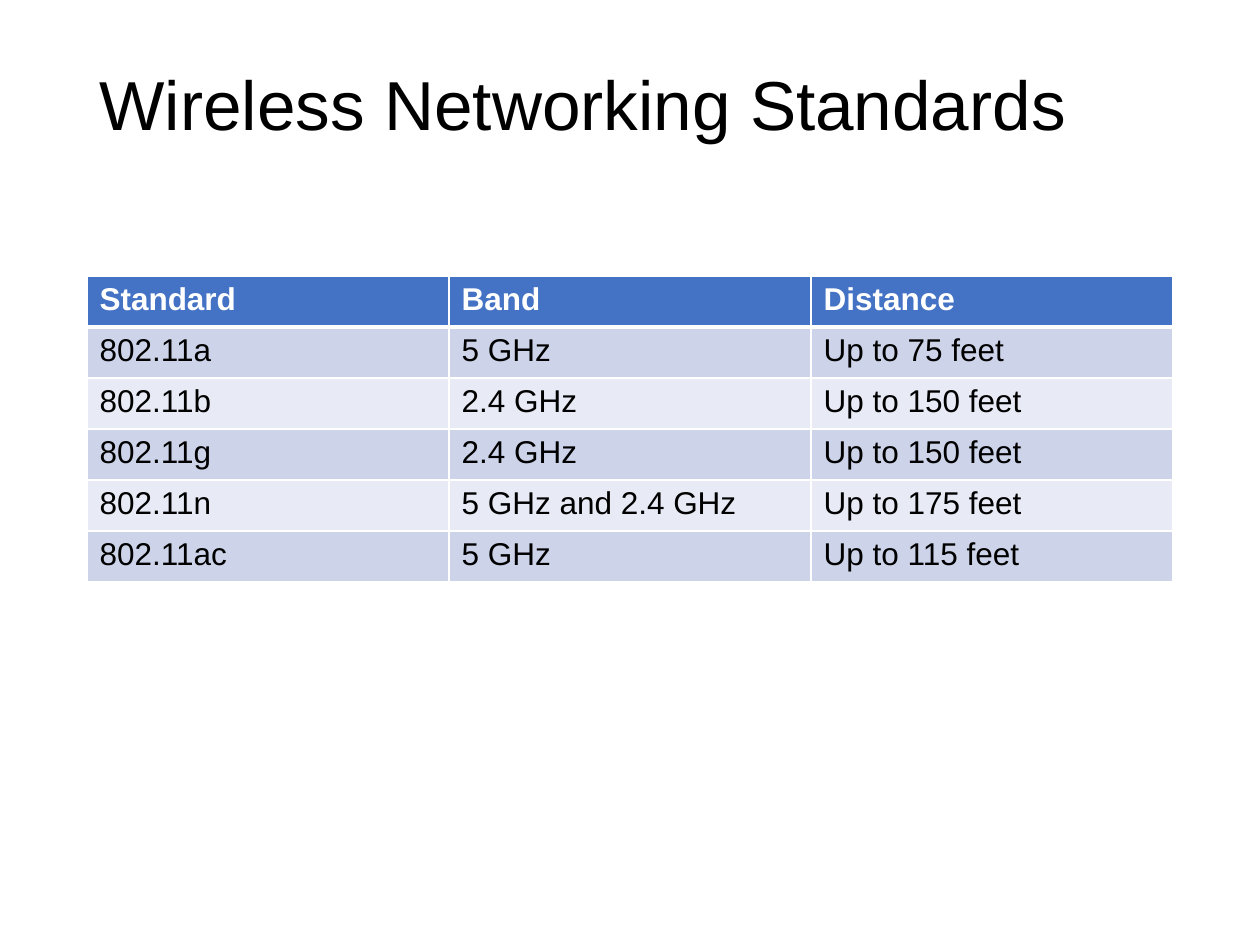
"""Build a slide with a table of wireless networking standards."""
from lxml import etree
from pptx import Presentation, util as u
from pptx.dml.color import RGBColor
from pptx.enum import text
from pptx.oxml.ns import qn

HEADING = "Wireless Networking Standards"
HEADER = ("Standard", "Band", "Distance")
STANDARDS = [
    ("802.11a", "5 GHz", "Up to 75 feet"),
    ("802.11b", "2.4 GHz", "Up to 150 feet"),
    ("802.11g", "2.4 GHz", "Up to 150 feet"),
    ("802.11n", "5 GHz and 2.4 GHz", "Up to 175 feet"),
    ("802.11ac", "5 GHz", "Up to 115 feet"),
]
FONT = "Arial"
WHITE, BLACK = "FFFFFF", "000000"
HEADER_FILL, BANDS = "4472C4", ("CDD4EA", "E8EBF5")
WIDTH, HEIGHT = 10, 7.5
MARGIN = 0.69
CONTENT_WIDTH = WIDTH - 2 * MARGIN
TABLE_TOP, TABLE_HEIGHT = 2.19, 2.43


def color(value):
    return RGBColor.from_string(value)


def write(paragraph, words, size, ink, bold=False):
    run = paragraph.add_run()
    run.text = words
    run.font.name, run.font.size, run.font.bold = FONT, u.Pt(size), bold
    run.font.color.rgb = color(ink)


def add_borders(cell, widths):
    properties = cell._tc.get_or_add_tcPr()
    for side, points in widths.items():
        line = etree.SubElement(properties, qn(f"a:ln{side}"), w=str(u.Pt(points)))
        fill = etree.SubElement(line, qn("a:solidFill"))
        etree.SubElement(fill, qn("a:srgbClr"), val=WHITE)


def add_heading(slide):
    heading = slide.shapes.title
    heading.left, heading.top = u.Inches(MARGIN), u.Inches(0.4)
    heading.width, heading.height = u.Inches(CONTENT_WIDTH), u.Inches(0.91)
    frame = heading.text_frame
    frame.word_wrap = True
    frame.auto_size = text.MSO_AUTO_SIZE.NONE
    frame.vertical_anchor = text.MSO_ANCHOR.MIDDLE
    paragraph = frame.paragraphs[0]
    paragraph.alignment = text.PP_ALIGN.LEFT
    paragraph.line_spacing = 0.9
    write(paragraph, HEADING, 39.6, BLACK)


def add_standards(slide):
    rows = [HEADER, *STANDARDS]
    standards = slide.shapes.add_table(
        len(rows), len(HEADER), u.Inches(MARGIN), u.Inches(TABLE_TOP),
        u.Inches(CONTENT_WIDTH), u.Inches(TABLE_HEIGHT)).table
    for r, row in enumerate(rows):
        is_header = r == 0
        fill = HEADER_FILL if is_header else BANDS[(r - 1) % 2]
        ink = WHITE if is_header else BLACK
        widths = {"L": 1, "R": 1, "T": 3 if r == 1 else 1, "B": 3 if is_header else 1}
        for c, words in enumerate(row):
            cell = standards.cell(r, c)
            add_borders(cell, widths)
            cell.fill.solid()
            cell.fill.fore_color.rgb = color(fill)
            write(cell.text_frame.paragraphs[0], words, 18, ink, is_header)


def main():
    deck = Presentation()
    deck.slide_width, deck.slide_height = u.Inches(WIDTH), u.Inches(HEIGHT)
    slide = deck.slides.add_slide(deck.slide_layouts.get_by_name("Title Only"))
    add_heading(slide)
    add_standards(slide)
    deck.save("out.pptx")


if __name__ == "__main__":
    main()
